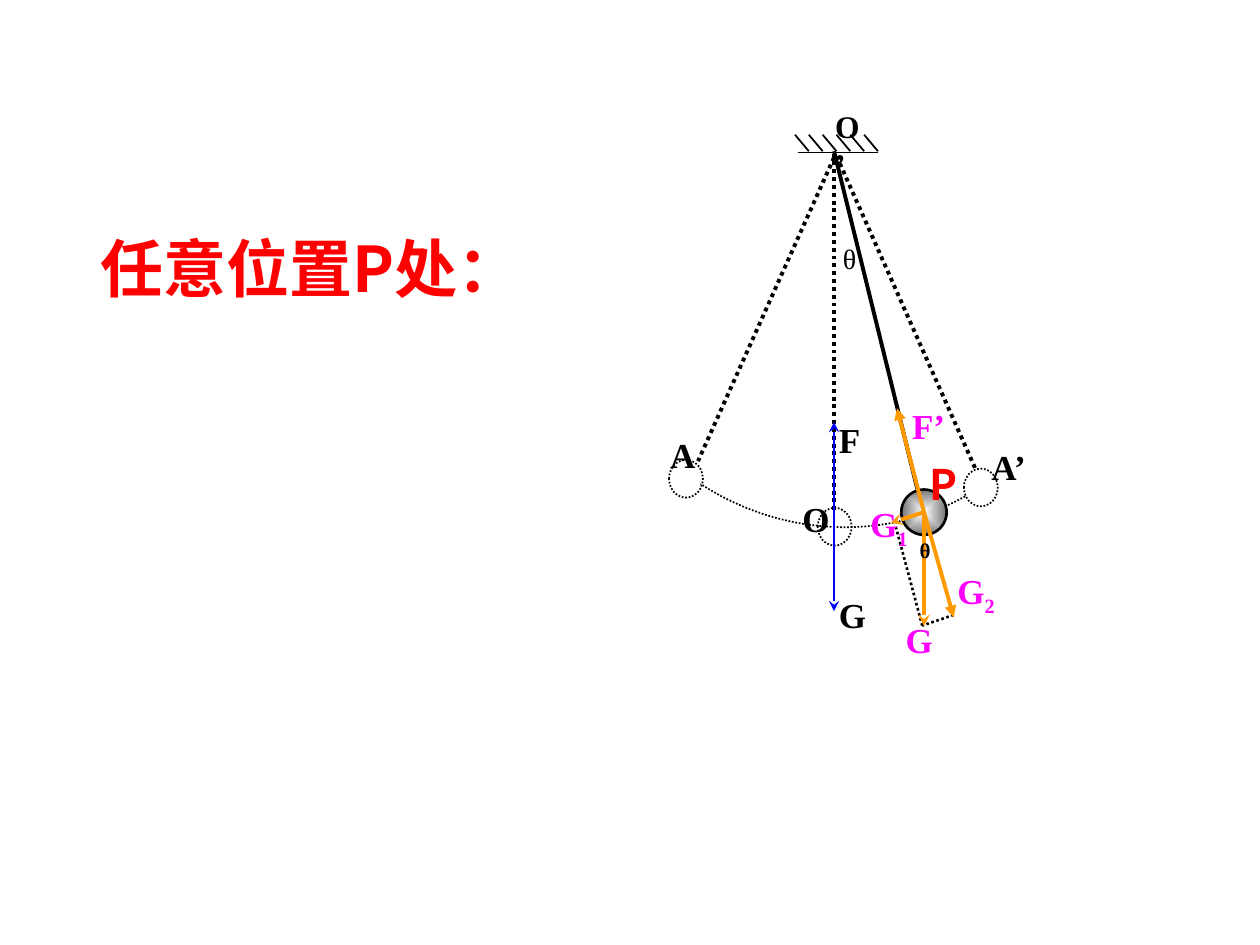
"""Build a slide showing the forces on a pendulum bob at an arbitrary position P."""
from lxml.etree import SubElement
from pptx import Presentation
from pptx.dml.color import RGBColor
from pptx.enum.dml import MSO_LINE
from pptx.enum.shapes import MSO_CONNECTOR, MSO_SHAPE
from pptx.enum.text import MSO_ANCHOR, MSO_AUTO_SIZE, PP_ALIGN
from pptx.oxml.ns import qn
from pptx.util import Pt

BLACK = RGBColor(0, 0, 0)
WHITE = RGBColor(255, 255, 255)
GREY = RGBColor(0x75, 0x75, 0x75)
RED = RGBColor(255, 0, 0)
BLUE = RGBColor(0, 0, 255)
ORANGE = RGBColor(0xFF, 0x99, 0)
MAGENTA = RGBColor(255, 0, 255)
SERIF, SANS = "Times New Roman", "Noto Sans CJK SC"

TITLE = [("任意位置P处", SANS), ("：", SERIF)]
TITLE_BOX = (50.4, 127.4, 275.8, 51.1)
LABELS = [
    ("A", "", 375.8, 244.1, 30.2, 20, BLACK),
    ("A’", "", 559.4, 251.3, 38.9, 20, BLACK),
    ("O", "", 451.4, 280.8, 24.5, 20, BLACK),
    ("F", "", 472.3, 235.4, 19.4, 20, BLACK),
    ("G", "", 472.3, 335.5, 23.8, 20, BLACK),
    ("G", "2", 540, 321.8, 41, 20, MAGENTA),
    ("G", "1", 490.3, 283.7, 51.8, 20, MAGENTA),
    ("F’", "", 514.1, 227.5, 38.9, 20, MAGENTA),
    ("G", "", 510.5, 349.9, 21.6, 20, MAGENTA),
    ("O’", "", 470.2, 57.6, 33.8, 18, BLACK),
    ("P", "", 524.2, 258.5, 26.6, 24, RED),
    ("θ", "", 474.5, 134.6, 39.6, 16, BLACK),
    ("θ", "", 518.4, 303.8, 23.8, 12, BLACK),
]

BOB = (528, 292.7)
HATCH_COUNT, HATCH_STEP = 6, 7.9
CEILING = ((455.8, 87.1), (501.8, 87.1))
DOTTED_LINES = [
    ((476.6, 87.8), (476.6, 293), 2.25),
    ((476.6, 90), (398.9, 263.5), 2.25),
    ((478.1, 89.3), (558, 269.3), 2.25),
    ((511.9, 301), (527, 357.5), 1.5),
    ((545, 351.4), (527, 357.5), 1.5),
]
STRING = ((476.6, 86.4), (524.2, 279.4))
REST_FORCES = ((476.6, 241.2), (476.6, 349.2))
BOB_FORCES = [
    ((509, 298.8), "stealth"),
    ((545, 352.8), "triangle"),
    ((512.6, 233.3), "triangle"),
    ((528, 357.8), "stealth"),
]
GHOST_SIZE = (19.4, 21.6)
GHOSTS = [(550.8, 267.8), (382.3, 262.8), (467.3, 290.2)]
BALL_SIZE = 25.9
SWING_CURVE = [(551.5, 283.7), (505.4, 309.6), (446.4, 306.7), (400.3, 276.5)]
SWING_STEPS = 24


def points(*lengths):
    return [Pt(length) for length in lengths]


def style_run(run, size, color, font, bold=True):
    run.font.size, run.font.bold, run.font.name = Pt(size), bold, font
    run.font.color.rgb = color
    SubElement(run.font._element, qn("a:ea"), typeface=SANS)


def style_line(line, color, width, dotted=False):
    line.color.rgb, line.width = color, Pt(width)
    if dotted:
        line.dash_style = MSO_LINE.ROUND_DOT


def add_line(shapes, start, end, color, width, dotted=False, head=None, tail=None):
    connector = shapes.add_connector(MSO_CONNECTOR.STRAIGHT, *points(*start, *end))
    style_line(connector.line, color, width, dotted)
    outline = connector.line._get_or_add_ln()
    for tag, arrow in (("a:headEnd", head), ("a:tailEnd", tail)):
        if arrow:
            SubElement(outline, qn(tag), type=arrow)
    SubElement(connector._element.spPr, qn("a:effectLst"))


def add_circle(shapes, left, top, width, height):
    circle = shapes.add_shape(MSO_SHAPE.OVAL, *points(left, top, width, height))
    circle.shadow.inherit = False
    circle.fill.background()
    return circle


def add_ball(shapes):
    corner = [center - BALL_SIZE / 2 for center in BOB]
    ball = add_circle(shapes, *corner, BALL_SIZE, BALL_SIZE)
    style_line(ball.line, BLACK, 1.5)
    ball.fill.gradient()
    for stop, color, position in zip(ball.fill.gradient_stops, (WHITE, GREY), (0, 1)):
        stop.color.rgb, stop.position = color, position
    gradient = ball._element.spPr.find(qn("a:gradFill"))
    gradient.remove(gradient.find(qn("a:lin")))
    path = SubElement(gradient, qn("a:path"), path="shape")
    SubElement(path, qn("a:fillToRect"), l="50000", t="50000", r="50000", b="50000")


def curve_point(t):
    weights = ((1 - t) ** 3, 3 * t * (1 - t) ** 2, 3 * t * t * (1 - t), t ** 3)
    return tuple(
        Pt(sum(w * p[axis] for w, p in zip(weights, SWING_CURVE))) for axis in (0, 1)
    )


def add_swing(shapes):
    first, *rest = [curve_point(i / SWING_STEPS) for i in range(SWING_STEPS + 1)]
    builder = shapes.build_freeform(*first)
    builder.add_line_segments(rest, close=False)
    swing = builder.convert_to_shape()
    swing.shadow.inherit = False
    swing.fill.background()
    style_line(swing.line, BLACK, 1, dotted=True)


def add_label(shapes, text, subscript, left, top, width, size, color):
    box = shapes.add_textbox(*points(left, top, width, size * 1.2 + 7.2))
    box.text_frame.word_wrap = text != "P"
    paragraph = box.text_frame.paragraphs[0]
    font = SANS if text == "P" else SERIF
    for part in filter(None, (text, subscript)):
        run = paragraph.add_run()
        run.text = part
        style_run(run, size, color, font, bold=size != 16)
        if part == subscript:
            run.font._element.set("baseline", "-25000")


def fill_title(title):
    title.left, title.top, title.width, title.height = points(*TITLE_BOX)
    frame = title.text_frame
    frame.auto_size, frame.vertical_anchor = MSO_AUTO_SIZE.NONE, MSO_ANCHOR.MIDDLE
    frame.paragraphs[0].alignment = PP_ALIGN.LEFT
    for text, font in TITLE:
        run = frame.paragraphs[0].add_run()
        run.text = text
        style_run(run, 36, RED, font)


def main():
    deck = Presentation()
    deck.slide_width, deck.slide_height = points(720, 540)
    slide = deck.slides.add_slide(deck.slide_layouts[5])
    shapes = slide.shapes
    fill_title(shapes.title)

    for i in range(HATCH_COUNT):
        x = 462.2 + i * HATCH_STEP
        add_line(shapes, (x, 86.4), (x - HATCH_STEP, 77), BLACK, 1)
    add_line(shapes, *CEILING, BLACK, 1)
    for start, end, width in DOTTED_LINES:
        add_line(shapes, start, end, BLACK, width, dotted=True)
    add_swing(shapes)
    for corner in GHOSTS:
        ghost = add_circle(shapes, *corner, *GHOST_SIZE)
        style_line(ghost.line, BLACK, 1, dotted=True)
    add_line(shapes, *REST_FORCES, BLUE, 1, head="stealth", tail="stealth")
    add_ball(shapes)
    add_line(shapes, *STRING, BLACK, 2.25)
    for tip, arrow in BOB_FORCES:
        add_line(shapes, BOB, tip, ORANGE, 2.25, tail=arrow)
    for label in LABELS:
        add_label(shapes, *label)
    deck.save("out.pptx")


if __name__ == "__main__":
    main()
